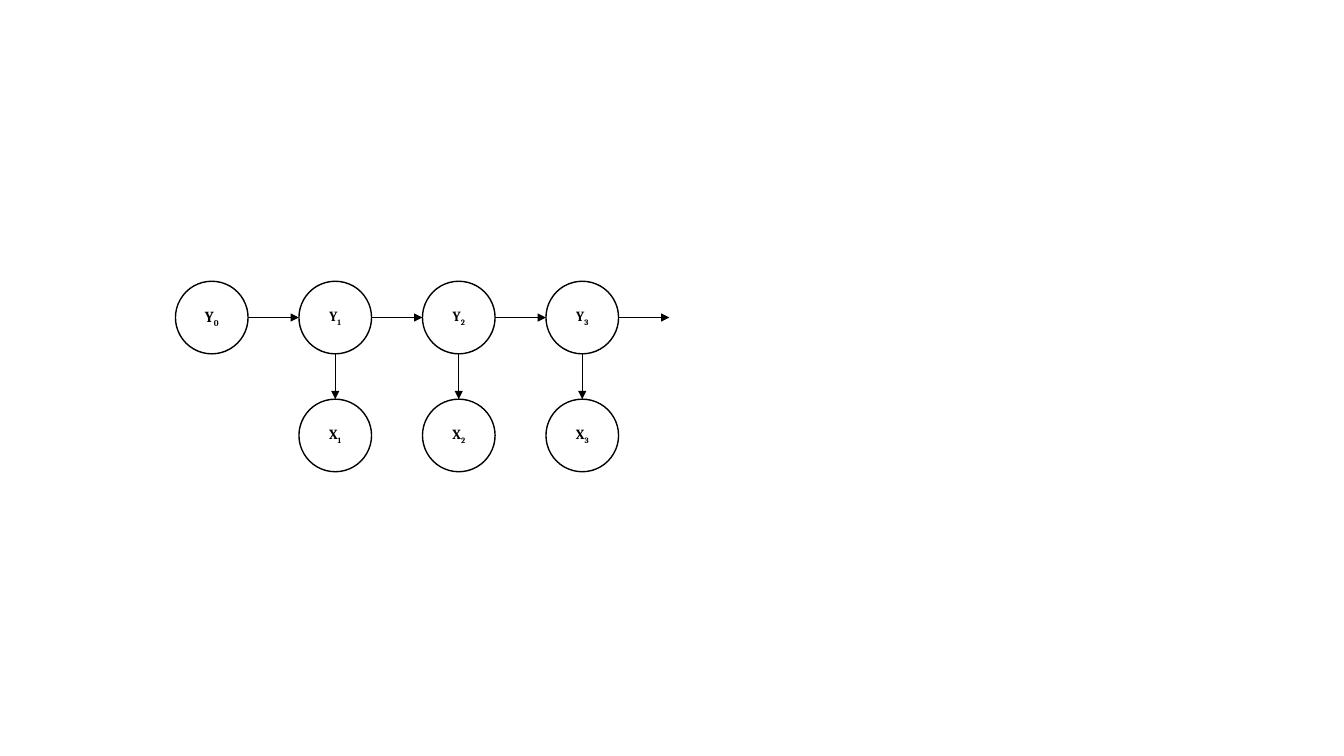
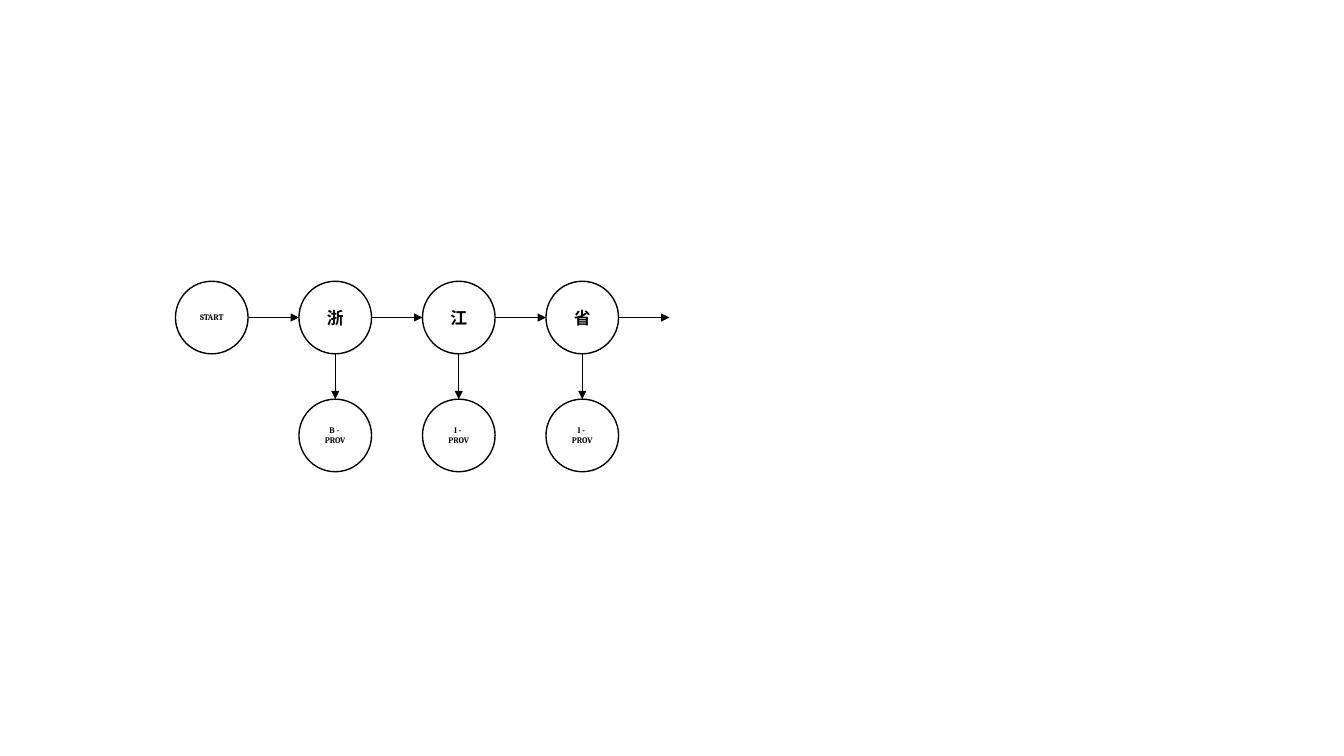
from lxml import etree
from pptx import Presentation
from pptx.dml.color import RGBColor
from pptx.enum import shapes, text
from pptx.oxml import ns
from pptx.util import Inches, Pt

BLACK = RGBColor(0, 0, 0)
WHITE = RGBColor(255, 255, 255)
FONT = "Cambria"
SIZE = Inches(0.72)
BOX = [Inches(n) for n in (1.74, 2.79, 4.9, 1.89)]


def node(slide, left, top, label, size, sub=""):
    """Draw a circle with a label and an optional subscript."""
    ring = slide.shapes.add_shape(shapes.MSO_SHAPE.OVAL, left, top, SIZE, SIZE)
    ring.shadow.inherit = False
    ring.fill.solid()
    ring.fill.fore_color.rgb = WHITE
    ring.line.color.rgb = BLACK
    ring.line.width = Pt(1)
    frame = ring.text_frame
    frame.text = label
    frame.vertical_anchor = text.MSO_ANCHOR.MIDDLE
    if sub:
        run = frame.paragraphs[0].add_run()
        run.text = sub
        run._r.get_or_add_rPr().set("baseline", "-25000")
    for para in frame.paragraphs:
        para.alignment = text.PP_ALIGN.CENTER
        for run in para.runs:
            run.font.name = FONT
            run.font.size = Pt(size)
            run.font.bold = True
            run.font.color.rgb = BLACK


def arrow(slide, *ends):
    """Draw a thin arrow from the first point to the second."""
    link = slide.shapes.add_connector(shapes.MSO_CONNECTOR.STRAIGHT, *ends)
    link.line.color.rgb = BLACK
    link.line.width = Pt(0.5)
    etree.SubElement(link.line._get_or_add_ln(), ns.qn("a:tailEnd"), type="triangle")
    etree.SubElement(link._element.spPr, ns.qn("a:effectLst"))


def chain(slide, box, states, outputs):
    """Draw a row of linked states, each after the first with its output below."""
    left, top, width, height = box
    step = width // len(states)
    low = top + height - SIZE
    mid = top + SIZE // 2
    for i, state in enumerate(states):
        x = left + i * step
        node(slide, x, top, *state)
        arrow(slide, x + SIZE, mid, x + step, mid)
        if i:
            node(slide, x, low, *outputs[i - 1])
            hub = x + SIZE // 2
            arrow(slide, hub, top + SIZE, hub, low)


def main():
    """Build the general chain and its worked example."""
    deck = Presentation()
    deck.slide_width, deck.slide_height = Inches(13.33), Inches(7.5)
    marks = "123"
    model = (
        [("Y", 11, "0")] + [("Y", 10, n) for n in marks],
        [("X", 10, n) for n in marks],
    )
    sample = (
        [("START", 6)] + [(sign, 12) for sign in "浙江省"],
        [(f"{tag} - \nPROV", 6) for tag in "BII"],
    )
    for states, outputs in (model, sample):
        slide = deck.slides.add_slide(deck.slide_layouts[6])
        chain(slide, BOX, states, outputs)
    deck.save("out.pptx")


main()
